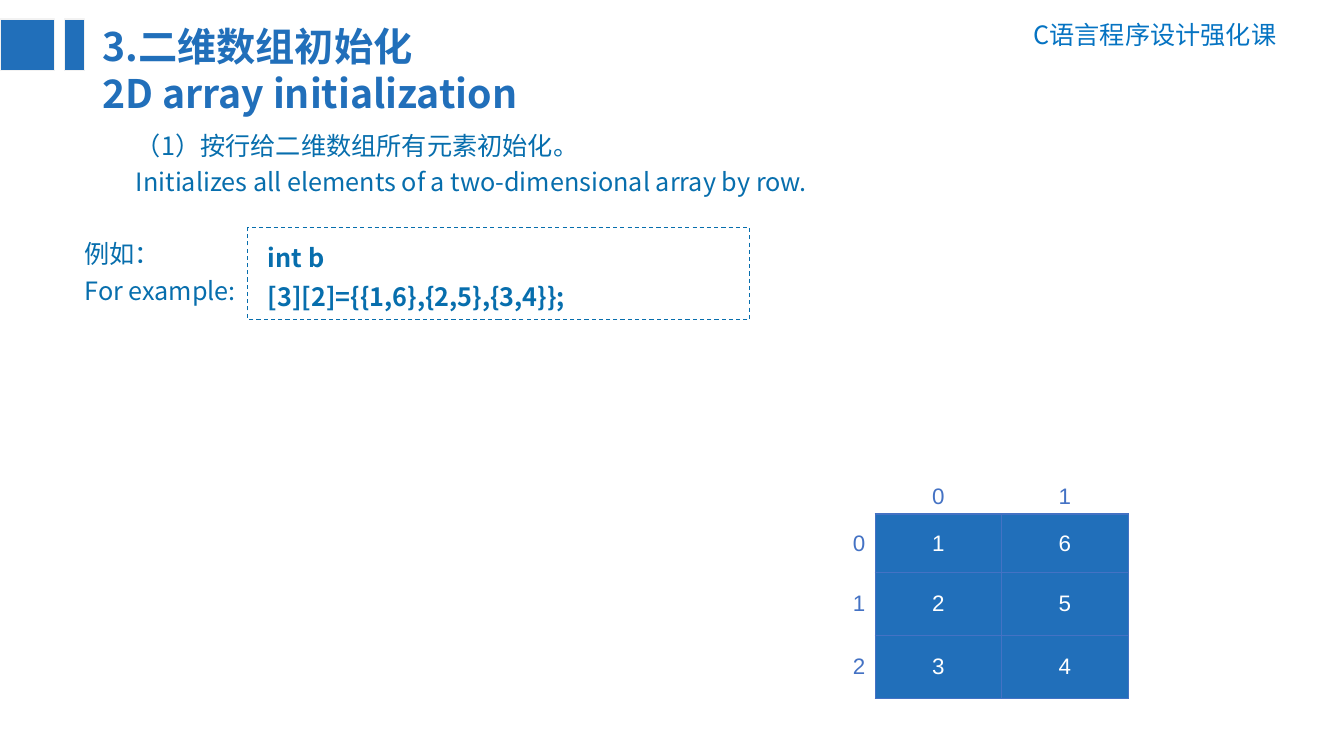
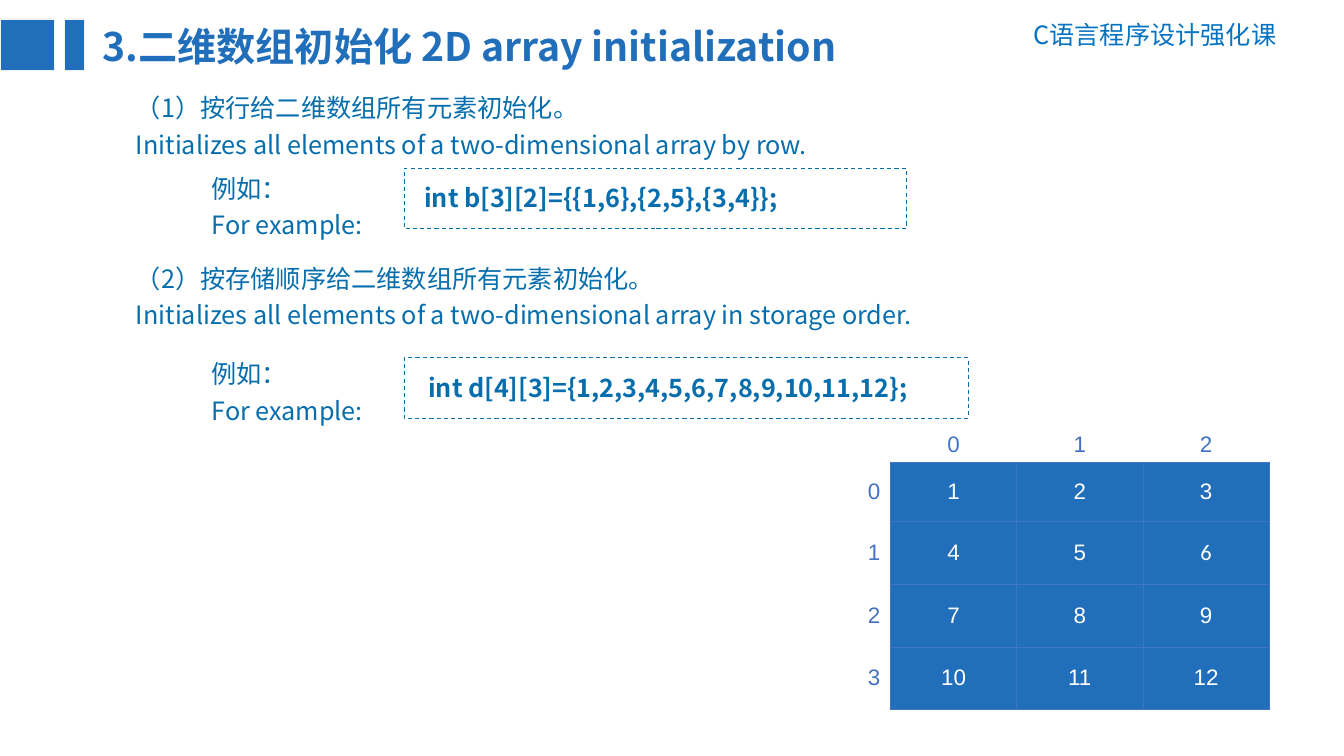
from lxml import etree
from pptx import Presentation
from pptx import util as u
from pptx.dml.color import RGBColor
from pptx.enum import dml, shapes, text
from pptx.oxml import ns

COLORS = {
    "title": "216FBA", "course": "0573C2", "body": "076EAD", "edge": "F2F2F2",
    "grid": "4472C4", "cell": "216FBA", "paper": "FFFFFF",
}
SANS, DIGITS = "Noto Sans CJK SC", "Arial"
BODY_SIZE = 18
COLUMN, HEADING_ROW, FIRST_ROW, NEXT_ROW = 90.2, 50.4, 41.8, 44.9
EXAMPLE = ["例如：", "For example:"]
BY_ROW = ["（1）按行给二维数组所有元素初始化。",
          "Initializes all elements of a two-dimensional array by row."]
BY_ORDER = ["（2）按存储顺序给二维数组所有元素初始化。",
            "Initializes all elements of a two-dimensional array in storage order."]


def rgb(name):
    """Return the named colour."""
    return RGBColor.from_string(COLORS[name])


def add_run(paragraph, words, size, color, bold=False, face=SANS):
    """Add one styled run to a paragraph."""
    run = paragraph.add_run()
    run.text = words
    run.font.size = u.Pt(size)
    run.font.name = face
    run.font.bold = bold
    run.font.color.rgb = rgb(color)
    east = etree.SubElement(run._r.get_or_add_rPr(), ns.qn("a:ea"))
    east.set("typeface", face)


def add_lines(slide, box, lines, size=BODY_SIZE, color="body", bold=False,
              spacing=None, align=None, hanging=0):
    """Add a text box with one paragraph per line."""
    frame = slide.shapes.add_textbox(*map(u.Pt, box)).text_frame
    frame.word_wrap = True
    frame.auto_size = text.MSO_AUTO_SIZE.SHAPE_TO_FIT_TEXT
    for number, line in enumerate(lines):
        paragraph = frame.add_paragraph() if number else frame.paragraphs[0]
        paragraph.alignment = align
        paragraph.line_spacing = spacing
        if hanging:
            properties = paragraph._p.get_or_add_pPr()
            properties.set("marL", str(u.Pt(hanging)))
            properties.set("indent", str(-u.Pt(hanging)))
        add_run(paragraph, line, size, color, bold)


def add_box(slide, box, fill, line, width):
    """Add a flat rectangle and return it."""
    rectangle = slide.shapes.add_shape(shapes.MSO_SHAPE.RECTANGLE, *map(u.Pt, box))
    rectangle.shadow.inherit = False
    if fill:
        rectangle.fill.solid()
        rectangle.fill.fore_color.rgb = rgb(fill)
    else:
        rectangle.fill.background()
    rectangle.line.color.rgb = rgb(line)
    rectangle.line.width = u.Pt(width)
    return rectangle


def add_heading(slide, title, width):
    """Add the course name, the two bars and the title."""
    add_lines(slide, (702.7, 10, 216, 29), ["C语言程序设计强化课"], color="course",
              align=text.PP_ALIGN.RIGHT)
    for left, bar_width in ((0, 38.9), (46.1, 14.4)):
        add_box(slide, (left, 13.7, bar_width, 36.7), "title", "edge", 1)
    add_lines(slide, (66.2, 12.2, width, 41 + 34 * (len(title) - 1)), title,
              size=28, color="title", bold=True)


def add_method(slide, top, lines, width=728):
    """Add the description of a way to initialize."""
    add_lines(slide, (90, top, width, 57.6), lines, spacing=1.2, hanging=27.4)


def add_example(slide, label_at, code_box, code, inset=7.2, width=313.2):
    """Add the example label and its dashed code box."""
    add_lines(slide, (*label_at, 289.4, 57.6), EXAMPLE, spacing=1.2)
    left, top, _, height = code_box
    border = add_box(slide, code_box, None, "body", 0.75)
    border.line.dash_style = dml.MSO_LINE.DASH
    add_lines(slide, (left + inset, top, width, height - 6), code,
              bold=True, spacing=1.3)


def set_borders(cell, widths):
    """Draw the cell sides named in widths and hide the others."""
    properties = cell._tc.get_or_add_tcPr()
    for side in "LRTB":
        width = widths.get(side, 0)
        line = etree.SubElement(properties, ns.qn(f"a:ln{side}"), w=str(u.Pt(width)))
        if width:
            paint = etree.SubElement(line, ns.qn("a:solidFill"))
            etree.SubElement(paint, ns.qn("a:srgbClr"), val=COLORS["grid"])
        else:
            etree.SubElement(line, ns.qn("a:noFill"))


def add_array(slide, left, top, values, faces=None):
    """Add a two-dimensional array with row and column indexes."""
    rows, columns = len(values) + 1, len(values[0]) + 1
    heights = [HEADING_ROW, FIRST_ROW] + [NEXT_ROW] * (rows - 2)
    table = slide.shapes.add_table(rows, columns, *map(
        u.Pt, (left, top, COLUMN * columns, sum(heights)))).table
    table.first_row = table.horz_banding = False
    for column in table.columns:
        column.width = u.Pt(COLUMN)
    for row, height in zip(table.rows, heights):
        row.height = u.Pt(height)
    grid = [["", *range(columns - 1)]]
    grid += [[index, *line] for index, line in enumerate(values)]
    for r, line in enumerate(grid):
        for c, value in enumerate(line):
            cell = table.cell(r, c)
            inside = r > 0 and c > 0
            if inside:
                widths = {"L": 1 if c == 1 else 0.5, "T": 1 if r == 1 else 0.5,
                          "R": 0.5, "B": 0.5}
            else:
                widths = {"R": 1} if r else {"B": 1} if c else {}
            set_borders(cell, widths)
            cell.fill.solid()
            cell.fill.fore_color.rgb = rgb("cell" if inside else "paper")
            cell.vertical_anchor = text.MSO_ANCHOR.MIDDLE if r else text.MSO_ANCHOR.BOTTOM
            if value == "":
                continue
            paragraph = cell.text_frame.paragraphs[0]
            paragraph.alignment = text.PP_ALIGN.CENTER if c else text.PP_ALIGN.RIGHT
            face = (faces or {}).get((r, c), DIGITS)
            add_run(paragraph, str(value), 16, "paper" if inside else "grid", face=face)


def build_by_row(slide):
    """Build the slide on initialization by row."""
    add_heading(slide, ["3.二维数组初始化", "2D array initialization"], 401)
    add_method(slide, 85, BY_ROW)
    add_example(slide, (53.3, 162.7), (177.1, 162.7, 358.6, 65.5),
                ["int b", "[3][2]={{1,6},{2,5},{3,4}};"])
    add_array(slide, 535, 316.8, [[1, 6], [2, 5], [3, 4]])


def build_by_order(slide):
    """Build the slide that adds initialization in storage order."""
    add_heading(slide, ["3.二维数组初始化 2D array initialization"], 706.3)
    add_array(slide, 545.8, 280.1,
              [range(start, start + 3) for start in range(1, 13, 3)],
              faces={(2, 3): "Calibri"})
    add_method(slide, 58.3, BY_ROW)
    add_example(slide, (144, 115.9), (288.7, 120.2, 358.6, 43.2),
                ["int b[3][2]={{1,6},{2,5},{3,4}};"])
    add_method(slide, 180, BY_ORDER, 776.9)
    add_example(slide, (144, 248.4), (288.7, 255.6, 403.2, 43.2),
                ["int d[4][3]={1,2,3,4,5,6,7,8,9,10,11,12};"], 10.1, 409.7)


deck = Presentation()
deck.slide_width, deck.slide_height = u.Pt(960), u.Pt(540)
for build in (build_by_row, build_by_order):
    build(deck.slides.add_slide(deck.slide_layouts[6]))
deck.save("out.pptx")
